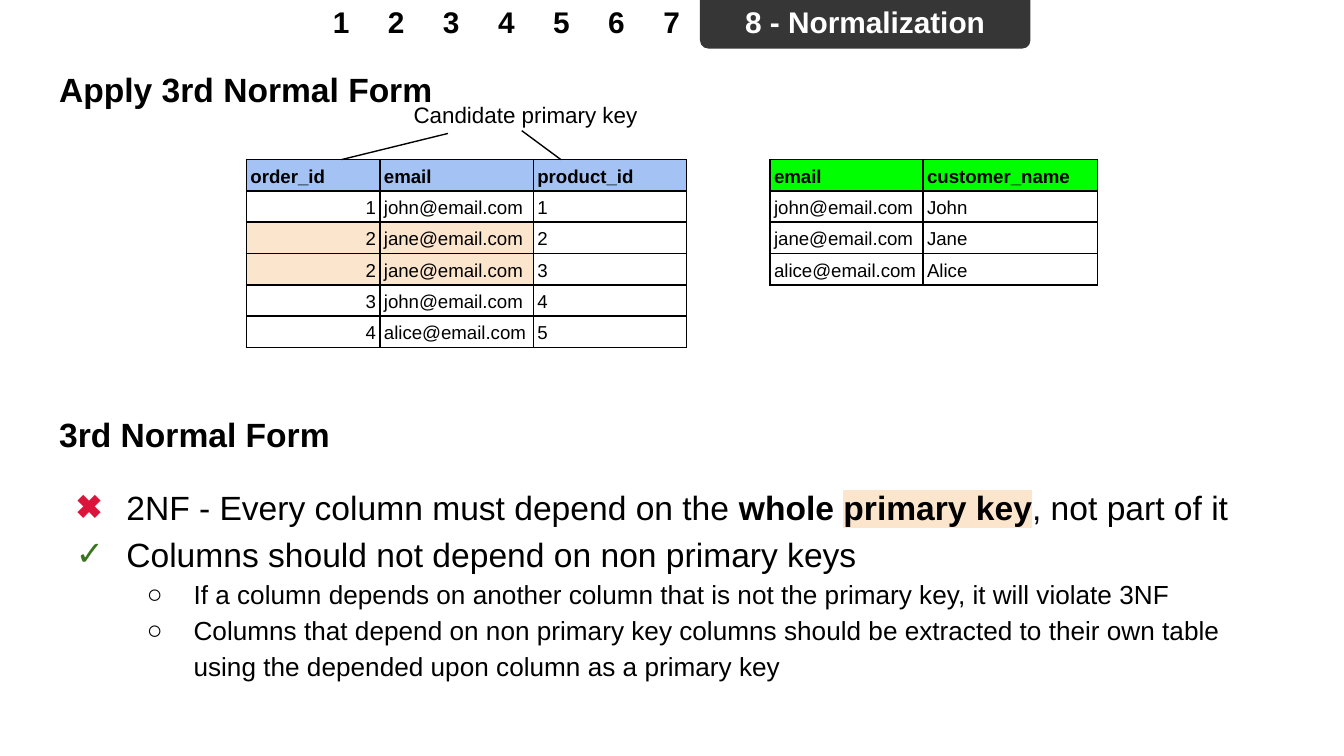
from dataclasses import dataclass

from lxml import etree
from pptx import Presentation
from pptx.dml.color import RGBColor
from pptx.enum.shapes import MSO_CONNECTOR, MSO_SHAPE
from pptx.enum.text import MSO_ANCHOR, MSO_AUTO_SIZE, PP_ALIGN
from pptx.oxml.ns import qn
from pptx.util import Pt

LEFT, CENTER, RIGHT = PP_ALIGN.LEFT, PP_ALIGN.CENTER, PP_ALIGN.RIGHT
TOP, MIDDLE = MSO_ANCHOR.TOP, MSO_ANCHOR.MIDDLE
NO_AUTOFIT = MSO_AUTO_SIZE.NONE
TAB_SHAPE = MSO_SHAPE.ROUND_2_SAME_RECTANGLE
STRAIGHT = MSO_CONNECTOR.STRAIGHT


@dataclass(frozen=True)
class Theme:
    font: str = "Arial"
    text: str = "000000"
    inverse: str = "FFFFFF"
    tab: str = "363636"
    orders_header: str = "A4C2F4"
    customers_header: str = "00FF00"
    highlight: str = "FCE5CD"
    wrong: str = "DC143C"
    right: str = "38761D"
    heading_size: float = 18
    tab_size: float = 16
    detail_size: float = 14
    label_size: float = 12
    table_size: float = 10
    line_spacing: float = 1.15
    line_width: float = 0.75
    border_width: float = 0.94


class SlideBuilder:
    def __init__(self, slide, theme):
        self.slide = slide
        self.theme = theme

    def add_run(self, paragraph, text, size, bold=False, color=None, highlight=None):
        run = paragraph.add_run()
        run.text = text
        font = run.font
        font.name, font.size, font.bold = self.theme.font, Pt(size), bold
        font.color.rgb = RGBColor.from_string(color or self.theme.text)
        if highlight:
            mark = etree.Element(qn("a:highlight"))
            etree.SubElement(mark, qn("a:srgbClr"), val=highlight)
            font._element.find(qn("a:latin")).addprevious(mark)

    def prepare_frame(self, shape):
        frame = shape.text_frame
        frame.word_wrap = True
        frame.auto_size = NO_AUTOFIT
        frame.vertical_anchor = TOP
        frame.margin_left = frame.margin_right = Pt(7.2)
        frame.margin_top = frame.margin_bottom = Pt(7.2)
        return frame

    def place(self, index, box):
        """Move a layout placeholder to box and return its text frame."""
        shape = self.slide.placeholders[index]
        shape.left, shape.top, shape.width, shape.height = map(Pt, box)
        return self.prepare_frame(shape)

    def heading(self, index, text, box):
        paragraph = self.place(index, box).paragraphs[0]
        paragraph.alignment = LEFT
        paragraph.space_before = Pt(0)
        self.add_run(paragraph, text, self.theme.heading_size, bold=True)

    def text(self, text, box, size, alignment=LEFT, **style):
        shape = self.slide.shapes.add_textbox(*map(Pt, box))
        paragraph = self.prepare_frame(shape).paragraphs[0]
        paragraph.alignment = alignment
        self.add_run(paragraph, text, size, **style)

    def tab(self, box):
        shape = self.slide.shapes.add_shape(TAB_SHAPE, *map(Pt, box))
        shape.rotation = 180
        shape.shadow.inherit = False
        shape.fill.solid()
        shape.fill.fore_color.rgb = RGBColor.from_string(self.theme.tab)
        shape.line.fill.background()

    def bullet_list(self, index, items, box):
        """Items are (level, bullet, bullet colour, runs as (text, style))."""
        frame = self.place(index, box)
        sizes = (self.theme.heading_size, self.theme.detail_size)
        indents = ((36, -27), (72, -25))
        for number, (level, bullet, color, runs) in enumerate(items):
            paragraph = frame.add_paragraph() if number else frame.paragraphs[0]
            paragraph.level = level
            paragraph.line_spacing = self.theme.line_spacing
            paragraph.space_before = paragraph.space_after = Pt(0)
            properties = paragraph._p.get_or_add_pPr()
            margin, indent = indents[level]
            properties.set("marL", str(Pt(margin)))
            properties.set("indent", str(Pt(indent)))
            bullet_color = etree.SubElement(properties, qn("a:buClr"))
            etree.SubElement(bullet_color, qn("a:srgbClr"), val=color)
            etree.SubElement(properties, qn("a:buFont"), typeface=self.theme.font)
            etree.SubElement(properties, qn("a:buChar"), char=bullet)
            for text, style in runs:
                self.add_run(paragraph, text, sizes[level], **style)

    def border(self, cell):
        properties = cell._tc.get_or_add_tcPr()
        for side in ("lnL", "lnR", "lnT", "lnB"):
            line = etree.SubElement(properties, qn(f"a:{side}"),
                                    w=str(Pt(self.theme.border_width)))
            fill = etree.SubElement(line, qn("a:solidFill"))
            etree.SubElement(fill, qn("a:srgbClr"), val=self.theme.text)

    def table(self, rows, left, top, widths, header_fill, number_columns=(), marked=()):
        """Right-align number_columns; marked holds highlighted (row, column) pairs."""
        row_height = 16.8
        table = self.slide.shapes.add_table(
            len(rows), len(widths), Pt(left), Pt(top),
            Pt(sum(widths)), Pt(row_height * len(rows))).table
        table.first_row = table.horz_banding = False
        for column, width in zip(table.columns, widths):
            column.width = Pt(width)
        for row_index, values in enumerate(rows):
            table.rows[row_index].height = Pt(row_height)
            is_header = row_index == 0
            for column_index, value in enumerate(values):
                cell = table.cell(row_index, column_index)
                cell.vertical_anchor = MIDDLE
                cell.margin_left = cell.margin_right = Pt(2.2)
                cell.margin_top = cell.margin_bottom = Pt(1.44)
                self.border(cell)
                is_marked = (row_index, column_index) in marked
                if is_header or is_marked:
                    color = header_fill if is_header else self.theme.highlight
                    cell.fill.solid()
                    cell.fill.fore_color.rgb = RGBColor.from_string(color)
                else:
                    cell.fill.background()
                paragraph = cell.text_frame.paragraphs[0]
                is_number = column_index in number_columns and not is_header
                paragraph.alignment = RIGHT if is_number else LEFT
                paragraph.line_spacing = self.theme.line_spacing
                self.add_run(paragraph, value, self.theme.table_size, bold=is_header)

    def line(self, start, end):
        connector = self.slide.shapes.add_connector(STRAIGHT, *map(Pt, start + end))
        connector.line.color.rgb = RGBColor.from_string(self.theme.text)
        connector.line.width = Pt(self.theme.line_width)
        etree.SubElement(connector._element.spPr, qn("a:effectLst"))

    def remove_empty_placeholders(self):
        for shape in list(self.slide.placeholders):
            if not shape.text_frame.text:
                shape._element.getparent().remove(shape._element)


def main():
    presentation = Presentation()
    presentation.slide_width, presentation.slide_height = Pt(720), Pt(405)
    comparison_layout = presentation.slide_layouts[4]
    theme = Theme()
    builder = SlideBuilder(presentation.slides.add_slide(comparison_layout), theme)

    builder.tab((375, 0, 177, 26))
    builder.text("8 - Normalization", (375, -5, 177, 34), theme.tab_size, CENTER,
                 bold=True, color=theme.inverse)
    step = 29.5
    for index in range(7):
        builder.text(str(index + 1), (168 + index * step, -5, step, 30),
                     theme.tab_size, CENTER, bold=True)

    left, width = 24.5, 671
    builder.heading(0, "Apply 3rd Normal Form", (left, 29.5, width, 36))
    builder.heading(1, "3rd Normal Form", (left, 214.5, width, 36))
    builder.bullet_list(2, [
        (0, "✖", theme.wrong, [
            ("2NF - Every column must depend on the ", {}),
            ("whole ", {"bold": True}),
            ("primary key", {"bold": True, "highlight": theme.highlight}),
            (", not part of it", {})]),
        (0, "✓", theme.right, [("Columns should not depend on non primary keys", {})]),
        (1, "○", theme.text, [("If a column depends on another column that is not "
                               "the primary key, it will violate 3NF", {})]),
        (1, "○", theme.text, [("Columns that depend on non primary key columns should "
                               "be extracted to their own table using the depended "
                               "upon column as a primary key", {})]),
    ], (left, 250.5, width, 121))
    builder.remove_empty_placeholders()

    john, jane, alice = (f"{name}@email.com" for name in ("john", "jane", "alice"))
    table_top = 85.5
    builder.table([("order_id", "email", "product_id"), ("1", john, "1"),
                   ("2", jane, "2"), ("2", jane, "3"), ("3", john, "4"),
                   ("4", alice, "5")],
                  132, table_top, (71.5, 82.2, 82.2), theme.orders_header,
                  number_columns=(0,), marked=((2, 0), (2, 1), (3, 0), (3, 1)))
    builder.table([("email", "customer_name"), (john, "John"), (jane, "Jane"),
                   (alice, "Alice")],
                  412.5, table_top, (82, 93.6), theme.customers_header)

    builder.text("Candidate primary key", (214.5, 47, 172, 26), theme.label_size)
    builder.line((240, 71.5), (183, table_top))
    builder.line((279.5, 70), (300.5, table_top))
    presentation.save("out.pptx")


if __name__ == "__main__":
    main()
